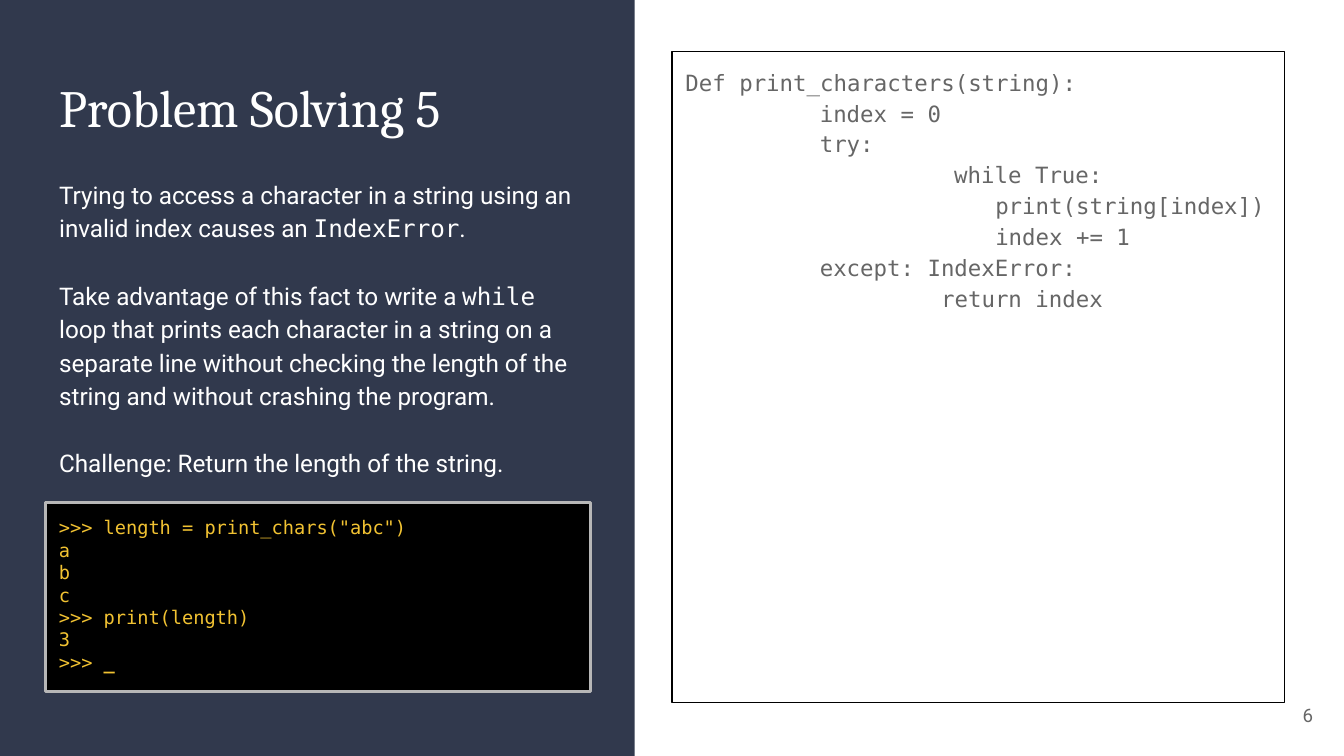
from collections import namedtuple
from dataclasses import dataclass

from lxml.etree import SubElement
from pptx import Presentation
from pptx.dml.color import RGBColor
from pptx.enum.shapes import MSO_SHAPE
from pptx.enum.text import MSO_ANCHOR, MSO_AUTO_SIZE, PP_ALIGN
from pptx.oxml.ns import qn
from pptx.util import Pt

Box = namedtuple("Box", "left top width height")


@dataclass(frozen=True)
class Theme:
    """Hold the colours, fonts and type sizes."""
    navy: str = "31394D"
    white: str = "FFFFFF"
    black: str = "000000"
    grey: str = "666666"
    silver: str = "B7B7B7"
    gold: str = "F1C232"
    serif: str = "Cambria"
    sans: str = "Roboto"
    mono: str = "DejaVu Sans Mono"
    head: float = 28
    body: float = 13
    code: float = 12
    small: float = 10


THEME = Theme()
PROSE = [
    [("Trying to access a character in a string using an invalid index causes an ", THEME.sans),
     ("IndexError", THEME.mono), (".", THEME.sans)],
    [("Take advantage of this fact to write a ", THEME.sans), ("while", THEME.mono),
     (" loop that prints each character in a string on a separate line without checking "
      "the length of the string and without crashing the program.", THEME.sans)],
    [("Challenge: Return the length of the string.", THEME.sans)],
]
CODE = [
    (0, "Def print_characters(string):"),
    (72, "index = 0"),
    (72, "try:"),
    (144, "while True:"),
    (166, "print(string[index])"),
    (166, "index += 1"),
    (72, "except: IndexError:"),
    (137, "return index"),
]
SHELL = ['>>> length = print_chars("abc")', "a", "b", "c", ">>> print(length)", "3", ">>> "]


def place(shape, box):
    """Move a shape to its box."""
    shape.left, shape.top, shape.width, shape.height = map(Pt, box)


def set_frame(shape, anchor=MSO_ANCHOR.TOP):
    """Give a shape's text even margins and return its frame."""
    frame = shape.text_frame
    frame.auto_size = MSO_AUTO_SIZE.NONE
    frame.word_wrap = True
    frame.vertical_anchor = anchor
    frame.margin_left = frame.margin_right = Pt(7.2)
    frame.margin_top = frame.margin_bottom = Pt(7.2)
    return frame


def add_line(frame, first, indent=0, space=1, before=0, align=PP_ALIGN.LEFT):
    """Start a plain paragraph without a bullet."""
    line = frame.paragraphs[0] if first else frame.add_paragraph()
    line.alignment = align
    line.line_spacing = space
    line.space_before, line.space_after = Pt(before), Pt(0)
    props = line._p.get_or_add_pPr()
    props.set("marL", str(Pt(indent)))
    props.set("indent", "0")
    SubElement(props, qn("a:buNone"))
    return line


def add_run(line, text, face, size, color, bold=False):
    """Add one styled run to a paragraph."""
    run = line.add_run()
    run.text = text
    run.font.name, run.font.size, run.font.bold = face, Pt(size), bold
    run.font.color.rgb = RGBColor.from_string(color)


def add_block(slide, box, fill):
    """Add a filled rectangle without a line or shadow."""
    block = slide.shapes.add_shape(MSO_SHAPE.RECTANGLE, *map(Pt, box))
    block.shadow.inherit = False
    block.fill.solid()
    block.fill.fore_color.rgb = RGBColor.from_string(fill)
    block.line.fill.background()
    return block


def set_line(shape, color, width):
    """Outline a shape."""
    shape.line.color.rgb = RGBColor.from_string(color)
    shape.line.width = Pt(width)


def draw_shell(slide, box):
    """Draw the console with its sample session."""
    shell = add_block(slide, box, THEME.black)
    set_line(shell, THEME.silver, 1.5)
    frame = set_frame(shell)
    for num, text in enumerate(SHELL):
        line = add_line(frame, num == 0)
        add_run(line, text, THEME.mono, THEME.small, THEME.gold)
    add_run(line, "_", THEME.mono, THEME.small, THEME.gold, True)


def draw_task(slide, box):
    """Draw the dark panel with title, task and console."""
    panel = add_block(slide, box, THEME.navy)
    slide.shapes.element.insert(2, panel.element)
    left, width = box.left + 24.5, box.width - 48.3

    title = slide.shapes.title
    place(title, Box(left, box.top + 33, width, 50.5))
    line = add_line(set_frame(title), True)
    add_run(line, "Problem Solving 5", THEME.serif, THEME.head, THEME.white)

    body = slide.placeholders[1]
    place(body, Box(left, box.top + 89.3, width, 171.4))
    frame = set_frame(body, MSO_ANCHOR.MIDDLE)
    for num, parts in enumerate(PROSE):
        line = add_line(frame, num == 0, space=1.15, before=18 if num else 0)
        for text, face in parts:
            add_run(line, text, face, THEME.body, THEME.white)

    draw_shell(slide, Box(left, box.top + 269.3, width, 101.3))


def draw_code(slide, box):
    """Draw the outlined code listing."""
    code = slide.placeholders[2]
    place(code, box)
    set_line(code, THEME.black, 0.75)
    frame = set_frame(code)
    for num, (indent, text) in enumerate(CODE):
        line = add_line(frame, num == 0, indent, 1.15)
        add_run(line, text, THEME.mono, THEME.code, THEME.grey)


def draw_page(slide, box):
    """Draw the page number."""
    frame = set_frame(slide.shapes.add_textbox(*map(Pt, box)), MSO_ANCHOR.MIDDLE)
    line = add_line(frame, True, align=PP_ALIGN.RIGHT)
    add_run(line, "6", THEME.sans, THEME.small, THEME.grey)


def main():
    """Build and save the deck."""
    deck = Presentation()
    deck.slide_width, deck.slide_height = Pt(720), Pt(405)
    slide = deck.slides.add_slide(deck.slide_layouts[3])
    draw_task(slide, Box(0, 0, 340, 405))
    draw_code(slide, Box(360, 27.5, 328, 349))
    draw_page(slide, Box(667.5, 367.5, 43, 31))
    deck.save("out.pptx")


if __name__ == "__main__":
    main()
